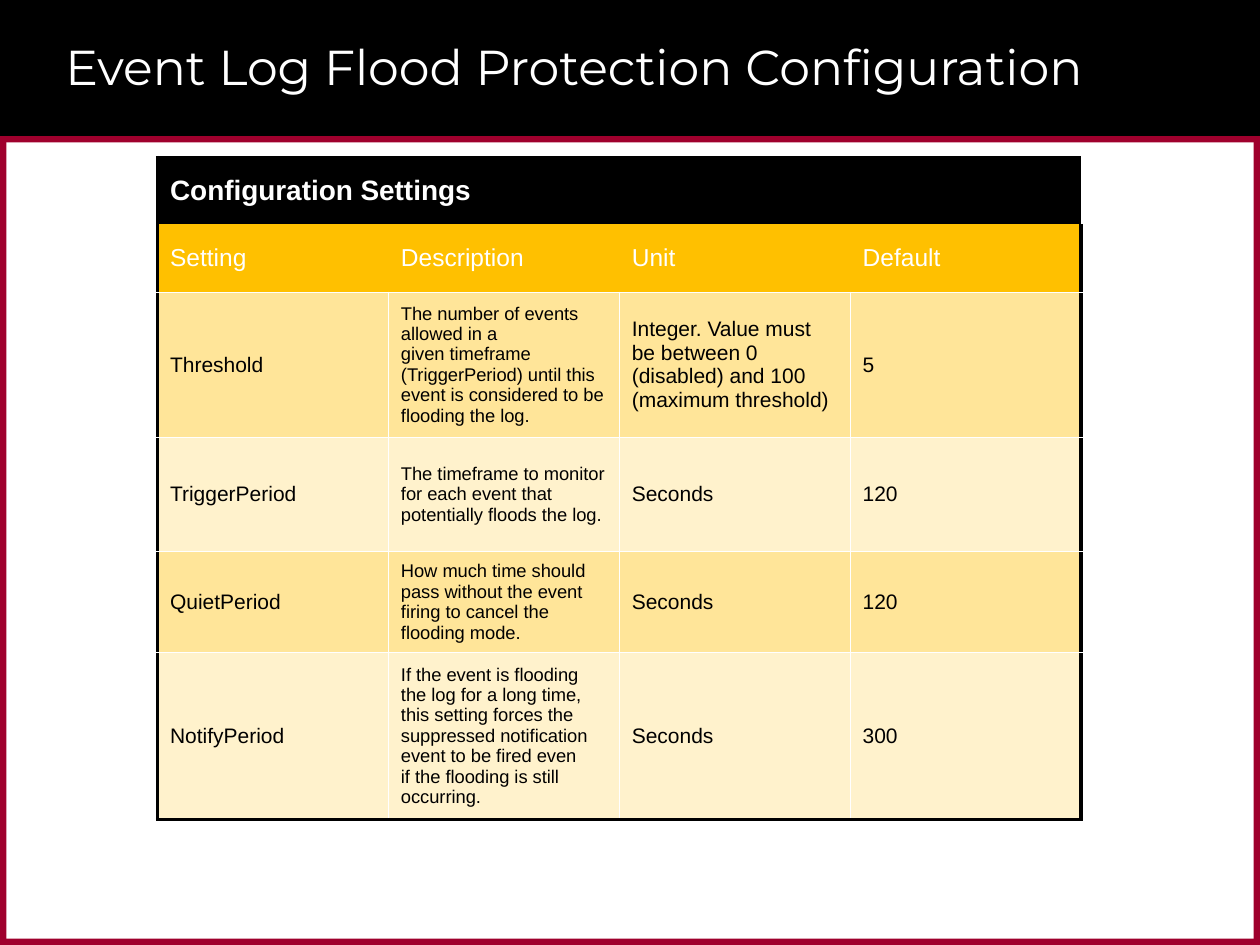
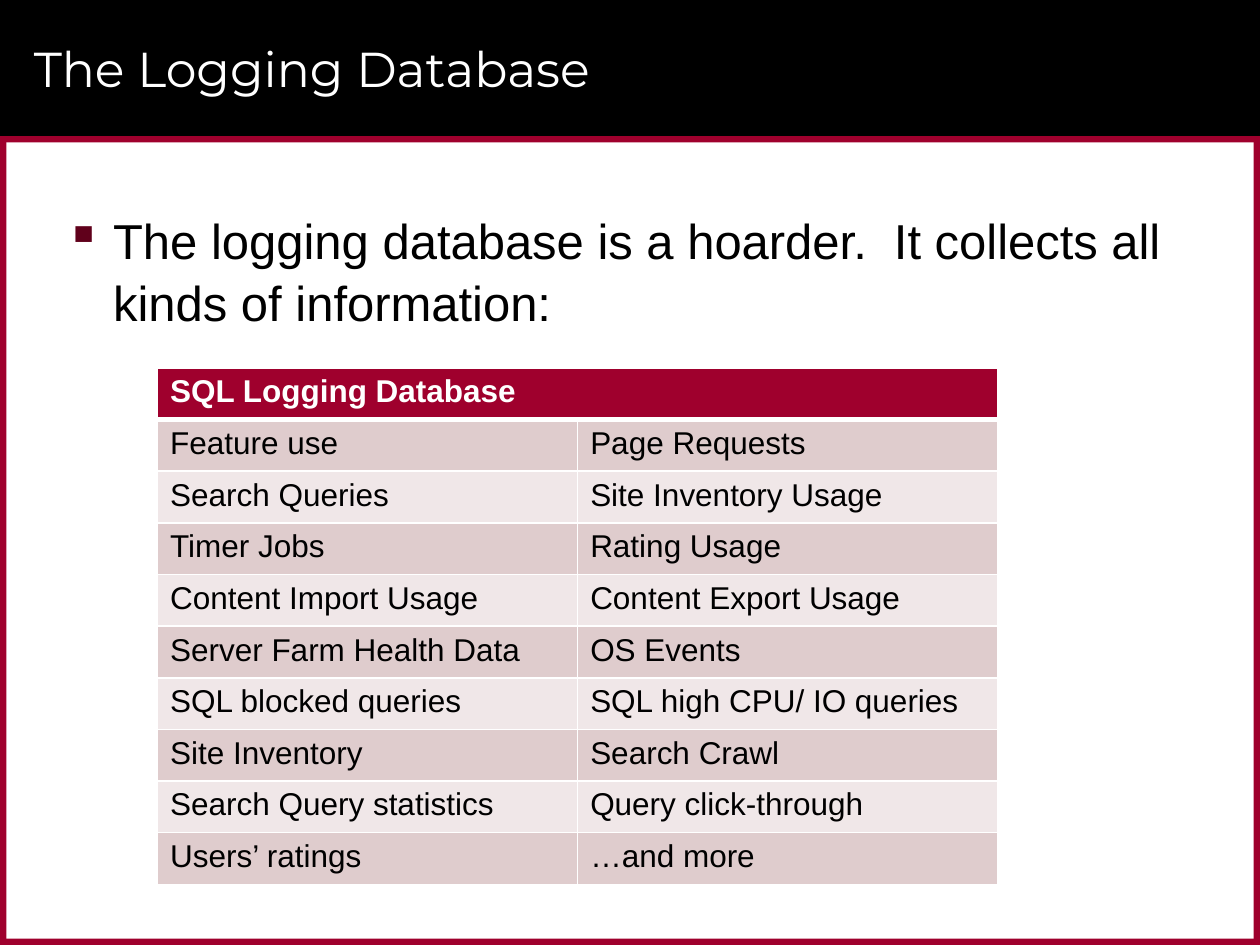
from lxml.etree import SubElement
from pptx import Presentation
from pptx.dml.color import RGBColor
from pptx.enum.shapes import MSO_SHAPE as SHAPE
from pptx.enum.text import MSO_ANCHOR as ANCHOR
from pptx.oxml.ns import qn
from pptx.util import Inches, Pt

BLACK, WHITE, CRIMSON, MAROON = "000000", "FFFFFF", "9F002D", "60001B"
GOLD, GOLD_MID, GOLD_PALE = "FFC000", "FFE599", "FFF2CC"
ROSE_MID, ROSE_PALE = "DFCCCD", "F0E7E8"

WIDTH, HEIGHT, BAND, EDGE = 10, 7.5, 1.08, 0.05
TITLE = dict(name="Montserrat", size=28, color=WHITE)
BODY = dict(name="Arial", size=28, color=BLACK)

SETTINGS = [
    ("Setting", "Description", "Unit", "Default"),
    ("Threshold",
     "The number of events allowed in a \ngiven timeframe (TriggerPeriod) "
     "until this event is considered to be flooding the log.",
     "Integer. Value must \nbe between 0 (disabled) and 100 \n(maximum threshold)", "5"),
    ("TriggerPeriod",
     "The timeframe to monitor for each event that potentially floods the log.",
     "Seconds", "120"),
    ("QuietPeriod",
     "How much time should pass without the event firing to cancel the flooding mode.",
     "Seconds", "120"),
    ("NotifyPeriod",
     "If the event is flooding the log for a long time, this setting forces the "
     "suppressed notification event to be fired even \nif the flooding is still occurring.",
     "Seconds", "300"),
]
SETTING_HEIGHTS = [0.53, 0.54, 1.07, 0.91, 0.75, 1.23]

LOGGED_DATA = [
    ("Feature use", "Page Requests"),
    ("Search Queries", "Site Inventory Usage"),
    ("Timer Jobs", "Rating Usage"),
    ("Content Import Usage", "Content Export Usage"),
    ("Server Farm Health Data", "OS Events"),
    ("SQL blocked queries", "SQL high CPU/ IO queries"),
    ("Site Inventory", "Search Crawl"),
    ("Search Query statistics", "Query click-through"),
    ("Users’ ratings", "…and more"),
]


def rgb(value):
    return RGBColor.from_string(value)


def write(p, text, style):
    """Fill a paragraph; line feeds become line breaks."""
    p.text = text
    for r in p.runs:
        for key, value in style.items():
            if key == "color":
                r.font.color.rgb = rgb(value)
            else:
                setattr(r.font, key, Pt(value) if key == "size" else value)


def add_text(s, box, text, style, anchor):
    tf = s.shapes.add_textbox(*map(Inches, box)).text_frame
    tf.word_wrap, tf.vertical_anchor = True, anchor
    write(tf.paragraphs[0], text, style)
    return tf.paragraphs[0]


def add_bullet(p, indent):
    pPr = p._p.get_or_add_pPr()
    pPr.set("marL", str(Inches(indent)))
    pPr.set("indent", str(-Inches(indent)))
    color = SubElement(pPr, qn("a:buClr"))
    SubElement(color, qn("a:srgbClr"), val=MAROON)
    SubElement(pPr, qn("a:buChar"), char="▪")


def add_frame_slide(prs, title, title_box):
    """Slide with the black title band and crimson frame."""
    s = prs.slides.add_slide(prs.slide_layouts[6])
    side = HEIGHT - BAND
    bars = [
        ((0, 0, WIDTH, BAND), BLACK),
        ((0, BAND, WIDTH, EDGE), CRIMSON),
        ((0, HEIGHT - EDGE, WIDTH, EDGE), CRIMSON),
        ((WIDTH - EDGE, BAND, EDGE, side), CRIMSON),
        ((0, BAND, EDGE, side), CRIMSON),
    ]
    for box, color in bars:
        sp = s.shapes.add_shape(SHAPE.RECTANGLE, *map(Inches, box))
        sp.shadow.inherit = False
        sp.fill.solid()
        sp.fill.fore_color.rgb = rgb(color)
        sp.line.fill.background()
    add_text(s, title_box, title, TITLE, ANCHOR.MIDDLE)
    return s


def set_borders(cell, borders):
    """Each side is (colour, points), or None for no line."""
    tcPr = cell._tc.get_or_add_tcPr()
    for side in "LRTB":
        ln = SubElement(tcPr, qn("a:ln" + side))
        if borders[side] is None:
            SubElement(ln, qn("a:noFill"))
            continue
        color, width = borders[side]
        ln.set("w", str(Pt(width)))
        SubElement(SubElement(ln, qn("a:solidFill")), qn("a:srgbClr"), val=color)


def add_grid(s, box, heading, rows, heights, format_cell):
    """Table under one merged heading; format_cell gives style, fill, borders, anchor."""
    count = len(rows[0])
    grid = [(heading,) + ("",) * (count - 1)] + rows
    table = s.shapes.add_table(len(grid), count, *map(Inches, box)).table
    table.first_row = table.horz_banding = False
    for row, height in zip(table.rows, heights):
        row.height = Inches(height)
    table.cell(0, 0).merge(table.cell(0, count - 1))
    for i, texts in enumerate(grid):
        for j, text in enumerate(texts):
            cell = table.cell(i, j)
            style, fill, borders, anchor = format_cell(i, j)
            set_borders(cell, borders)
            cell.fill.solid()
            cell.fill.fore_color.rgb = rgb(fill)
            cell.vertical_anchor = anchor
            if text:
                write(cell.text_frame.paragraphs[0], text, style)


def format_setting(i, j):
    outer, inner = (BLACK, 2.25), (WHITE, 0.75)
    last_row, last_col = len(SETTINGS), len(SETTINGS[0]) - 1
    between = inner if i > 1 else None
    borders = {
        "L": outer if j == 0 else between,
        "R": outer if j == last_col else between,
        "T": outer if i == 0 else between,
        "B": outer if i == last_row else inner if i else None,
    }
    if i < 2:
        size, color, fill = (16, 14)[i], WHITE, (BLACK, GOLD)[i]
    else:
        size, color, fill = 10.5 if j == 1 else 12, BLACK, (GOLD_MID, GOLD_PALE)[i % 2]
    style = dict(name="Arial", size=size, color=color, bold=i == 0)
    return style, fill, borders, ANCHOR.MIDDLE


def format_logged(i, j):
    borders = dict.fromkeys("LRTB", (WHITE, 1))
    if i < 2:
        borders["T" if i else "B"] = (WHITE, 3)
    fill = (ROSE_PALE, ROSE_MID)[i % 2] if i else CRIMSON
    style = dict(name="Arial", size=18, color=BLACK if i else WHITE, bold=i == 0)
    return style, fill, borders, ANCHOR.TOP


def flood_protection(prs):
    s = add_frame_slide(prs, "Event Log Flood Protection Configuration",
                        (0.42, 0.25, 9.17, 0.55))
    add_grid(s, (1.25, 1.25, 7.33, sum(SETTING_HEIGHTS)), "Configuration Settings",
             SETTINGS, SETTING_HEIGHTS, format_setting)


def logging_database(prs):
    s = add_frame_slide(prs, "The Logging Database", (0.17, 0.08, 9.42, 0.92))
    p = add_text(s, (0.42, 1.6, 9.17, 1.2),
                 "The logging database is a hoarder.  It collects all kinds of information:",
                 BODY, ANCHOR.TOP)
    add_bullet(p, 0.38)
    p.line_spacing = 1.05
    heights = [0.41] * (len(LOGGED_DATA) + 1)
    add_grid(s, (1.25, 2.92, 6.67, sum(heights)), "SQL Logging Database",
             LOGGED_DATA, heights, format_logged)


def main():
    prs = Presentation()
    prs.slide_width, prs.slide_height = Inches(WIDTH), Inches(HEIGHT)
    flood_protection(prs)
    logging_database(prs)
    prs.save("out.pptx")


if __name__ == "__main__":
    main()
